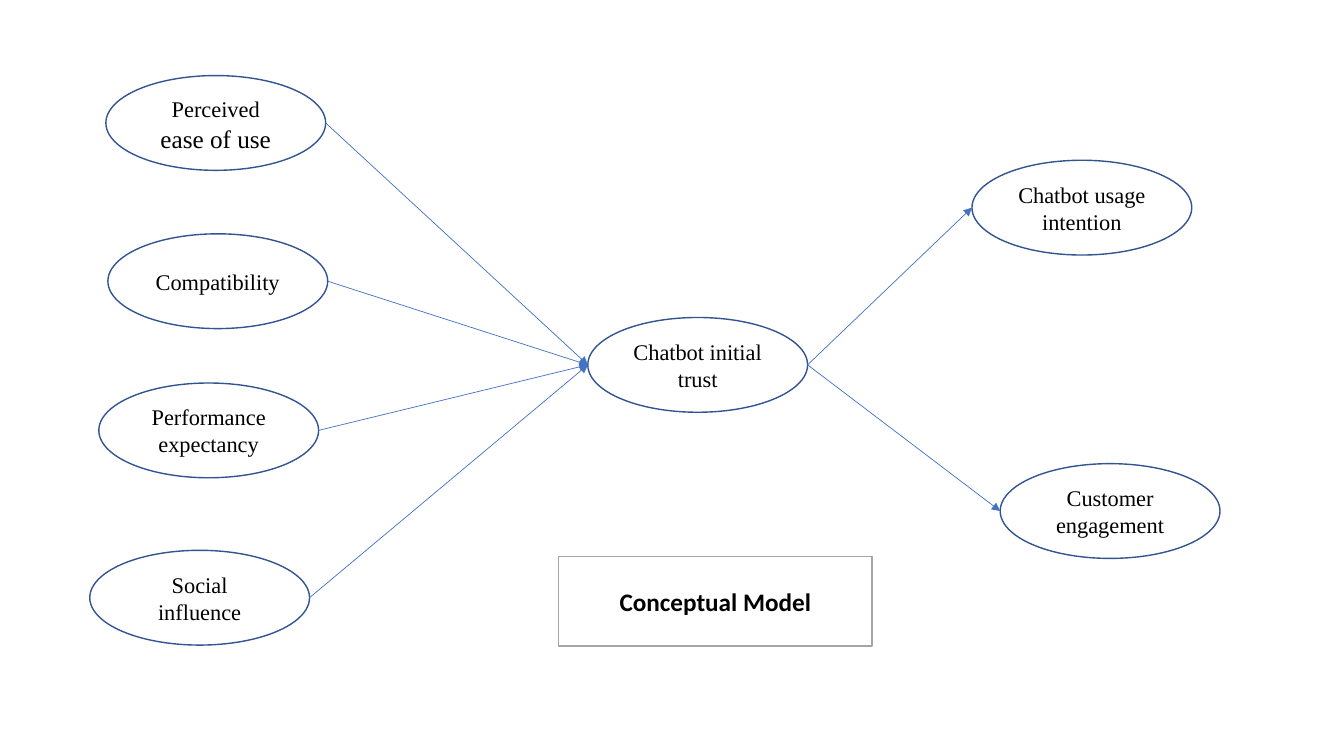
from dataclasses import dataclass

from lxml.etree import SubElement
from pptx import Presentation
from pptx.dml.color import RGBColor as RGB
from pptx.enum.shapes import MSO_CONNECTOR as LINK, MSO_SHAPE as SHAPE
from pptx.enum.text import MSO_ANCHOR as ANCHOR, PP_ALIGN as ALIGN
from pptx.oxml.ns import qn
from pptx.util import Inches, Pt


@dataclass(frozen=True)
class Theme:
    paper: RGB = RGB(0xFF, 0xFF, 0xFF)
    ink: RGB = RGB(0, 0, 0)
    rim: RGB = RGB(0x32, 0x54, 0x91)
    arrow: RGB = RGB(0x44, 0x72, 0xC4)
    frame: RGB = RGB(0xA5, 0xA5, 0xA5)
    serif: str = "Times New Roman"
    sans: str = "Calibri"
    body: int = 16
    large: int = 18


THEME = Theme()
WIDTH, HEIGHT = 2.18, 0.94  # every factor has the same size
LEFT, RIGHT = 2, 6  # connection sites of an ellipse

TRUST = ("Chatbot initial trust", 5.83, 3.15)
CAUSES = [
    ("Perceived", 1.05, 0.75),
    ("Compatibility", 1.07, 2.32),
    ("Performance expectancy", 0.98, 3.8),
    ("Social influence", 0.89, 5.46),
]
EFFECTS = [
    ("Chatbot usage intention", 9.64, 1.59),
    ("Customer engagement", 9.92, 4.6),
]


def paint(shape, line):
    shape.fill.solid()
    shape.fill.fore_color.rgb = THEME.paper
    shape.line.color.rgb = line
    shape.line.width = Pt(1)
    frame = shape.text_frame
    frame.word_wrap = True
    frame.vertical_anchor = ANCHOR.MIDDLE
    frame.paragraphs[0].alignment = ALIGN.CENTER


def style(run, name, size, bold=False):
    run.font.name = name
    run.font.size = Pt(size)
    run.font.bold = bold
    run.font.color.rgb = THEME.ink


def add_factor(slide, text, left, top):
    oval = slide.shapes.add_shape(
        SHAPE.OVAL, Inches(left), Inches(top), Inches(WIDTH), Inches(HEIGHT))
    oval.shadow.inherit = False
    oval.text_frame.text = text
    paint(oval, THEME.rim)
    style(oval.text_frame.paragraphs[0].runs[0], THEME.serif, THEME.body)
    return oval


def add_arrow(slide, start, end):
    middle = start.height // 2
    link = slide.shapes.add_connector(
        LINK.STRAIGHT, start.left + start.width, start.top + middle,
        end.left, end.top + middle)
    link.line.color.rgb = THEME.arrow
    link.line.width = Pt(0.5)
    SubElement(link.line._get_or_add_ln(), qn("a:tailEnd"), type="triangle")
    SubElement(link._element.spPr, qn("a:effectLst"))
    # Glue both ends to the side points of the ovals
    glue = link._element.find(".//" + qn("p:cNvCxnSpPr"))
    for tag, oval, site in (("a:stCxn", start, RIGHT), ("a:endCxn", end, LEFT)):
        SubElement(glue, qn(tag), id=str(oval.shape_id), idx=str(site))


def set_title(slide, text):
    title = slide.shapes.title
    title.left, title.top = Inches(5.54), Inches(5.52)
    title.width, title.height = Inches(3.11), Inches(0.89)
    # Rounded outline for the placeholder
    shape = SubElement(title._element.spPr, qn("a:prstGeom"), prst="roundRect")
    SubElement(shape, qn("a:avLst"))
    title.text_frame.text = text
    paint(title, THEME.frame)
    style(title.text_frame.paragraphs[0].runs[0], THEME.sans, THEME.large, True)


def main():
    deck = Presentation()
    deck.slide_width, deck.slide_height = Inches(13.33), Inches(7.5)
    slide = deck.slides.add_slide(deck.slide_layouts[5])
    set_title(slide, "Conceptual Model")

    # Factors
    trust = add_factor(slide, *TRUST)
    causes = [add_factor(slide, *cause) for cause in CAUSES]
    effects = [add_factor(slide, *effect) for effect in EFFECTS]

    # The first factor ends in larger type
    extra = causes[0].text_frame.paragraphs[0].add_run()
    extra.text = " ease of use"
    style(extra, THEME.serif, THEME.large)

    # Arrows into and out of trust
    for cause in causes:
        add_arrow(slide, cause, trust)
    for effect in effects:
        add_arrow(slide, trust, effect)

    deck.save("out.pptx")


if __name__ == "__main__":
    main()
